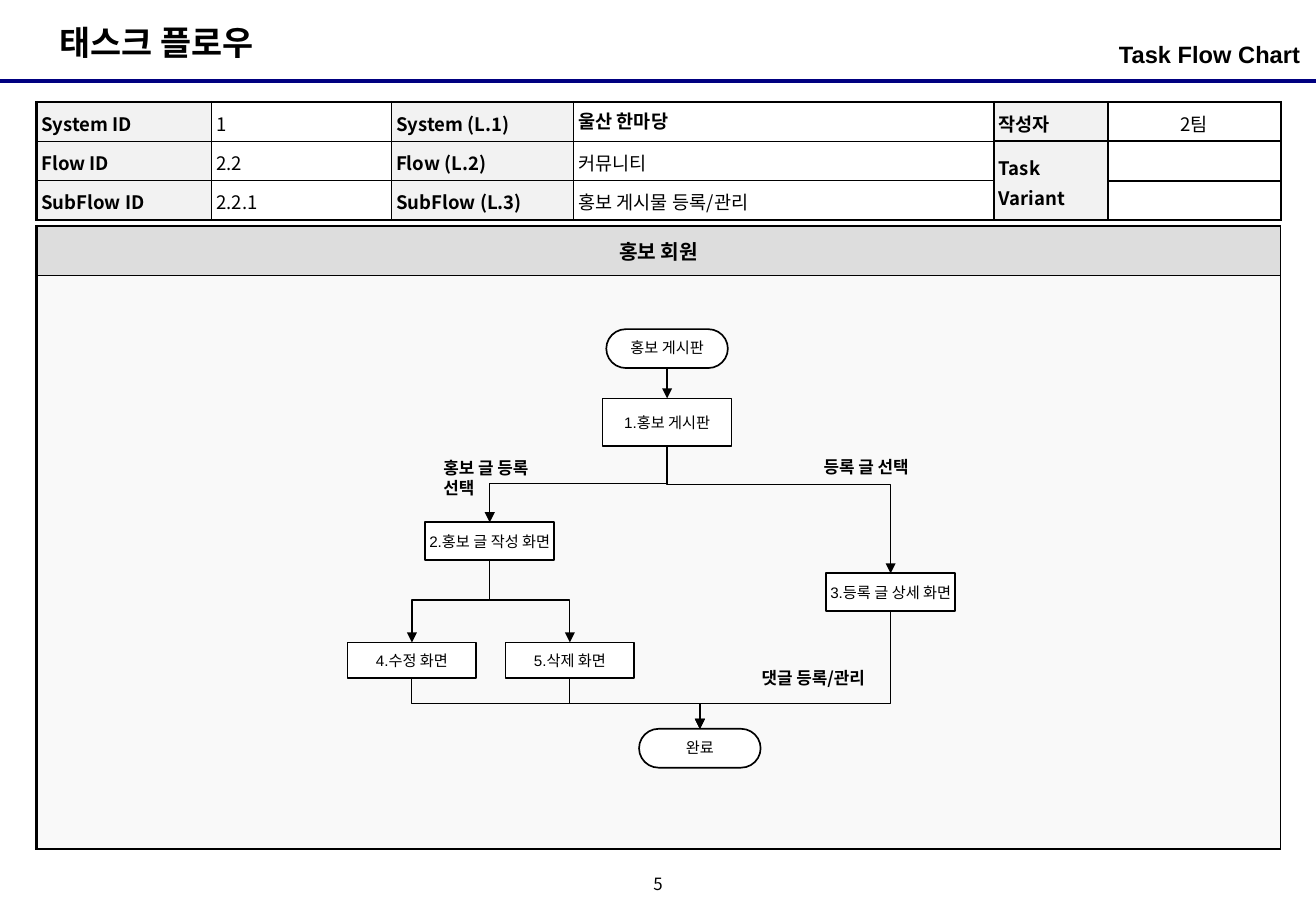
from lxml import etree
from pptx import Presentation, util as u
from pptx.dml.color import RGBColor
from pptx.enum import shapes as sh, text as tx
from pptx.oxml.ns import qn

HUE = {"ink": "000000", "white": "FFFFFF", "navy": "000080",
       "label": "F2F2F2", "head": "DDDDDD", "body": "F9F9F9"}
KR = "Noto Sans CJK KR"
LEFT, MID, RIGHT = tx.PP_ALIGN.LEFT, tx.PP_ALIGN.CENTER, tx.PP_ALIGN.RIGHT
TOP, HALF = tx.MSO_ANCHOR.TOP, tx.MSO_ANCHOR.MIDDLE

INFO = [["System ID", "1", "System (L.1)", "울산 한마당", "작성자", "2팀"],
        ["Flow ID", "2.2", "Flow (L.2)", "커뮤니티", "Task Variant", ""],
        ["SubFlow ID", "2.2.1", "SubFlow (L.3)", "홍보 게시물 등록/관리", "", ""]]
COLS = [1.44, 1.48, 1.5, 3.46, 0.94, 1.42]
PANEL = [["홍보 회원"], [""]]
STEPS = {
    "start": ("홍보 게시판", 4.99, 2.71, 1, 0.32),
    "board": ("1.홍보 게시판", 4.96, 3.28, 1.06, 0.39),
    "write": ("2.홍보 글 작성 화면", 3.5, 4.3, 1.06, 0.31),
    "view": ("3.등록 글 상세 화면", 6.8, 4.72, 1.06, 0.31),
    "edit": ("4.수정 화면", 2.86, 5.29, 1.06, 0.29),
    "drop": ("5.삭제 화면", 4.16, 5.29, 1.06, 0.29),
    "done": ("완료", 5.26, 6, 1, 0.32),
}
ENDS = ("start", "done")
LINKS = [("start", "board", None), ("board", "write", 3.98),
         ("board", "view", 3.99), ("write", "edit", 4.94),
         ("write", "drop", 4.94), ("edit", "done", 5.79),
         ("drop", "done", 5.79), ("view", "done", 5.79)]
NOTES = [("홍보 글 등록 선택", 3.55, 3.72, 1, 0.44),
         ("등록 글 선택", 6.68, 3.71, 1.18, 0.27),
         ("댓글 등록/관리", 6.17, 5.45, 1.18, 0.27)]

deck = Presentation()
deck.slide_width, deck.slide_height = u.Inches(10.83), u.Inches(7.5)
page = deck.slides.add_slide(deck.slide_layouts[5])
parts = page.shapes


def inch(*nums):
    return [u.Inches(n) for n in nums]


def rgb(name):
    return RGBColor.from_string(HUE[name])


def put(frame, words, size=10, font=KR, bold=False, align=LEFT, lead=1.0, gap=0):
    para = frame.paragraphs[0]
    para.alignment, para.line_spacing = align, lead
    para.space_before = para.space_after = u.Pt(gap)
    if not words:
        para._p.get_or_add_endParaRPr().set("sz", str(size * 100))
        return
    run = para.add_run()
    run.text = words
    run.font.size, run.font.bold, run.font.name = u.Pt(size), bold, font
    run.font.color.rgb = rgb("ink")
    etree.SubElement(run._r.get_or_add_rPr(), qn("a:ea")).set("typeface", KR)


def fit(frame, pads, anchor=TOP, wrap=True):
    frame.margin_left, frame.margin_top, frame.margin_right, frame.margin_bottom = inch(*pads)
    frame.vertical_anchor, frame.word_wrap = anchor, wrap
    frame.auto_size = tx.MSO_AUTO_SIZE.NONE


def note(words, box, pads=(0.1, 0.05, 0.1, 0.05), anchor=TOP, wrap=True, **fmt):
    frame = parts.add_textbox(*inch(*box)).text_frame
    fit(frame, pads, anchor, wrap)
    put(frame, words, **fmt)


def edge(cell, widths):
    props = cell._tc.get_or_add_tcPr()
    for i, (side, wide) in enumerate(zip("LRTB", widths)):
        line = etree.Element(qn("a:ln" + side), w=str(u.Pt(wide)))
        fill = etree.SubElement(line, qn("a:solidFill"))
        etree.SubElement(fill, qn("a:srgbClr")).set("val", HUE["ink"])
        props.insert(i, line)


def grid(left, top, cols, rows):
    wide, high = sum(cols), sum(rows)
    table = parts.add_table(len(rows), len(cols), *inch(left, top, wide, high)).table
    table.first_row = table.horz_banding = False
    for col, size in zip(table.columns, cols):
        col.width = u.Inches(size)
    for row, size in zip(table.rows, rows):
        row.height = u.Inches(size)
    return table


def paint(cell, hue):
    cell.fill.solid()
    cell.fill.fore_color.rgb = rgb(hue)


def stroke(line, wide, hue="ink"):
    line.width = u.Pt(wide)
    line.color.rgb = rgb(hue)


def wire(kind, ends, wide, hue="ink", arrow=False):
    link = parts.add_connector(kind, *inch(*ends))
    stroke(link.line, wide, hue)
    if arrow:
        etree.SubElement(link.line._get_or_add_ln(), qn("a:tailEnd")).set("type", "triangle")
    etree.SubElement(link._element.spPr, qn("a:effectLst"))
    return link


def bend(link, level):
    x, y, end, low = link.begin_x, link.begin_y, link.end_x, link.end_y
    wide, high = abs(end - x), low - y
    frame = link._element.spPr.find(qn("a:xfrm"))
    for flip in ("flipH", "flipV"):
        frame.attrib.pop(flip, None)
    frame.set("rot", "5400000" if end < x else "16200000")
    if end > x:
        frame.set("flipH", "1")
    link.left, link.top = (x + end - high) // 2, (y + low - wide) // 2
    link.width, link.height = high, wide
    ratio = round((u.Inches(level) - y) / high * 100000)
    guide = etree.SubElement(link._element.spPr.find(".//" + qn("a:avLst")), qn("a:gd"))
    guide.set("name", "adj1")
    guide.set("fmla", f"val {ratio}")


wire(sh.MSO_CONNECTOR.STRAIGHT, (0, 0.67, 10.83, 0.67), 2.25, "navy")
title = parts.title
title.left, title.top, title.width, title.height = inch(0.39, 0.13, 1.98, 0.44)
fit(title.text_frame, (0.1, 0.05, 0.1, 0.05), wrap=False)
put(title.text_frame, "태스크 플로우", size=20, bold=True)
note("Task Flow Chart", (7.39, 0.28, 3.31, 0.39), pads=(0, 0.05, 0, 0.05),
     size=14, font="Arial", bold=True, align=RIGHT, gap=2.8)
note("5", (5.25, 7.17, 0.33, 0.25), pads=(0, 0, 0, 0), anchor=HALF,
     wrap=False, align=MID, lead=0.8)

panel = grid(0.3, 1.86, [10.24], [0.41, 4.72])
for r, (words,) in enumerate(PANEL):
    cell = panel.cell(r, 0)
    cell.vertical_anchor = HALF
    paint(cell, ("head", "body")[r])
    put(cell.text_frame, words, size=12, bold=True, align=MID)
    edge(cell, (1.5, 0.75, (1.5, 0.75)[r], (0.75, 1.5)[r]))

info = grid(0.3, 0.84, COLS, [0.31] * 3)
info.cell(1, 4).merge(info.cell(2, 4))
for r, row in enumerate(INFO):
    for c, words in enumerate(row):
        cell = info.cell(r, c)
        name, lead = c % 2 == 0, (r, c) == (0, 3)
        cell.margin_left = cell.margin_right = u.Inches(0.04)
        cell.margin_top = cell.margin_bottom = u.Inches(0.04)
        cell.vertical_anchor = HALF if c > 3 else TOP
        paint(cell, "label" if name else "white")
        put(cell.text_frame, words, size=11, bold=name or lead,
            align=MID if c == 5 else LEFT,
            lead=1.0 if lead else 1.1, gap=0 if lead else 1.1)
        edge(cell, (1.5 if c == 0 else 1, 1.5 if c == 5 else 1,
                    1.5 if r == 0 or c > 3 else 1, 1.5 if r == 2 or c > 3 else 1))

steps = {}
for key, (words, *box) in STEPS.items():
    kind = sh.MSO_SHAPE.FLOWCHART_TERMINATOR if key in ENDS else sh.MSO_SHAPE.RECTANGLE
    step = steps[key] = parts.add_shape(kind, *inch(*box))
    step.shadow.inherit = False
    paint(step, "white")
    stroke(step.line, 1)
    fit(step.text_frame, (0.02, 0, 0.02, 0), HALF)
    put(step.text_frame, words, size=9, font="Arial", align=MID,
        lead=0.9 if key in ENDS else 1.0)

for head, foot, level in LINKS:
    kind = sh.MSO_CONNECTOR.ELBOW if level else sh.MSO_CONNECTOR.STRAIGHT
    link = wire(kind, (0, 0, 1, 1), 0.75, arrow=True)
    link.begin_connect(steps[head], 2)
    link.end_connect(steps[foot], 0)
    if level:
        bend(link, level)

for words, *box in NOTES:
    note(words, box, bold=True)

deck.save("out.pptx")
